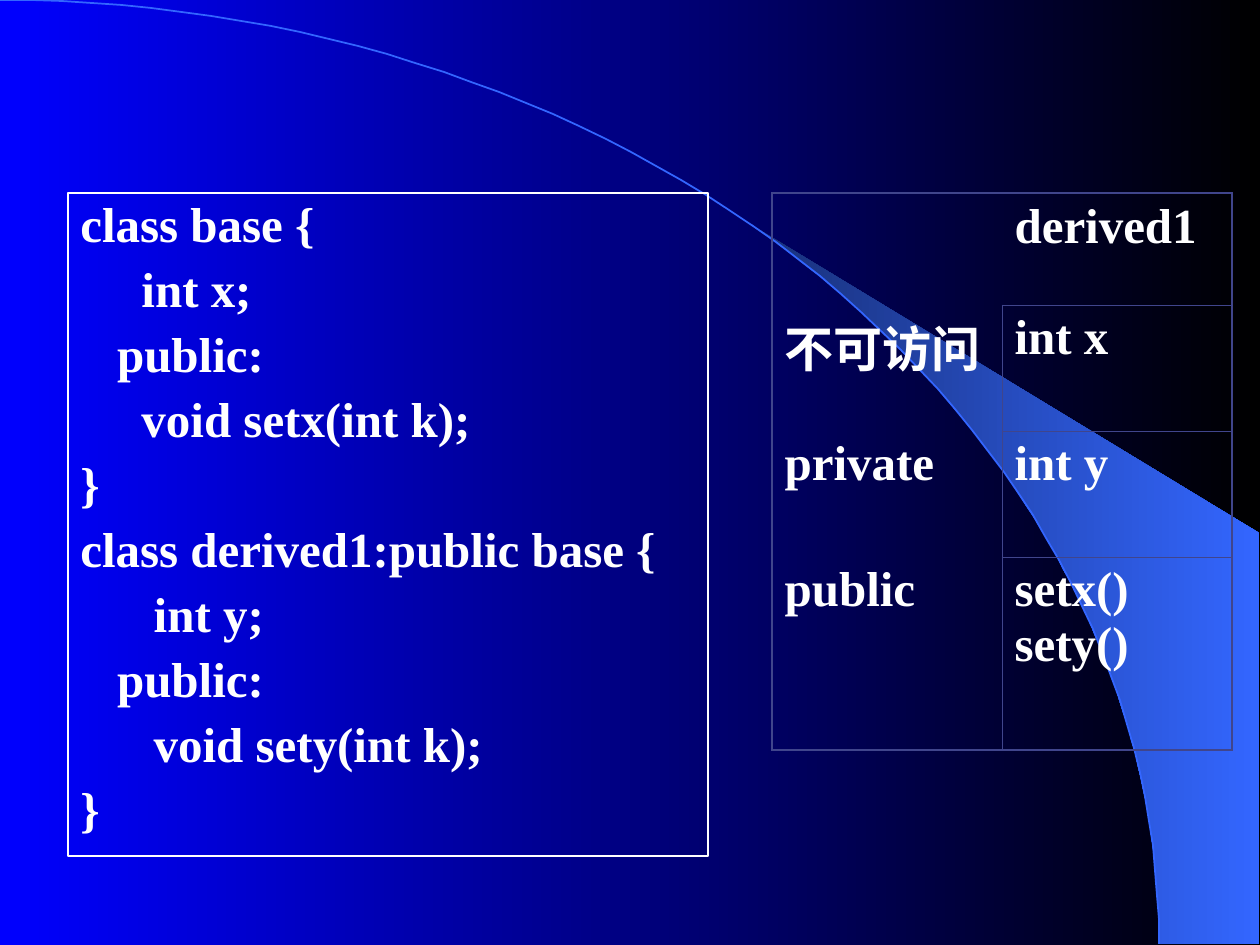
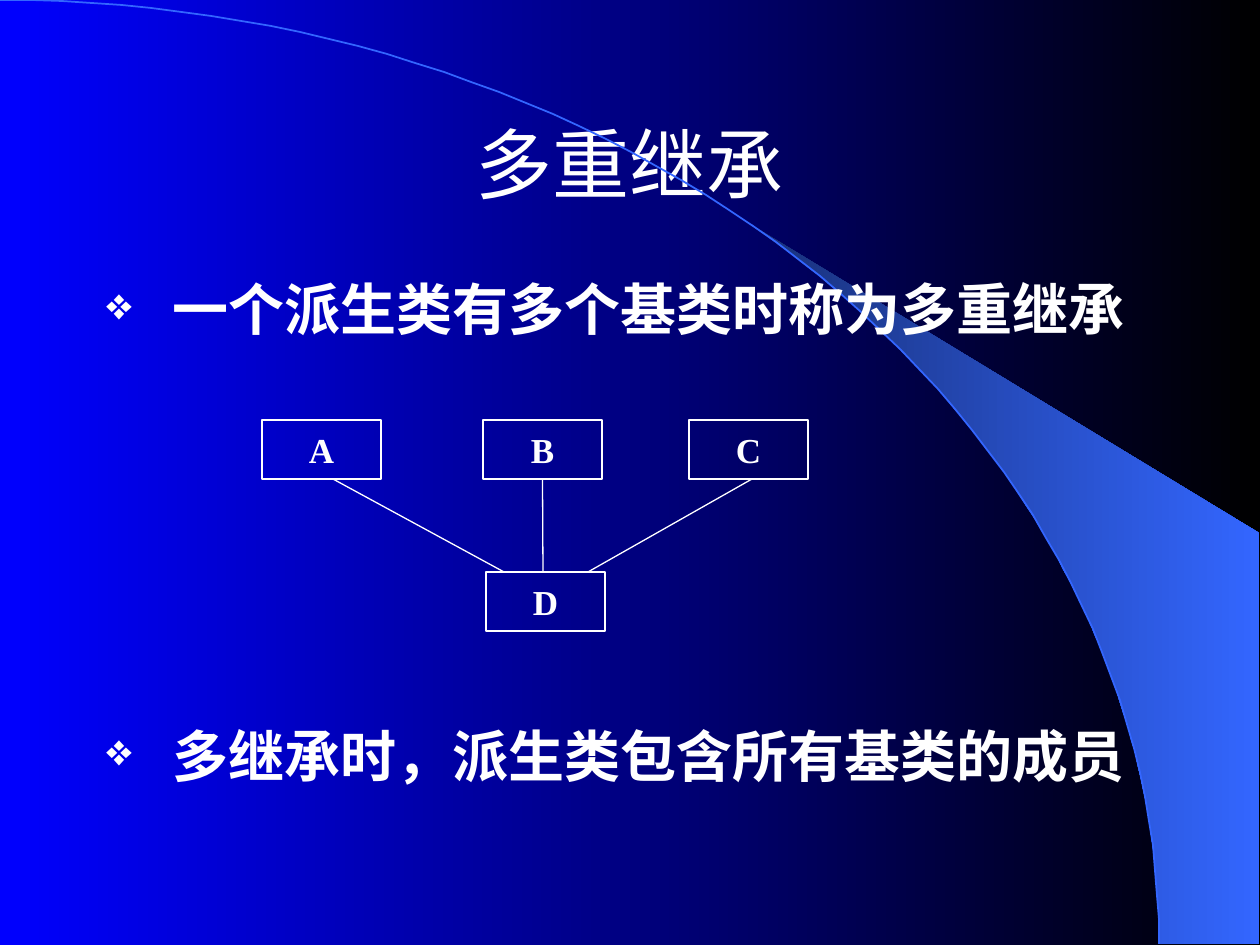
import math

import lxml.etree
import pptx
import pptx.dml.color
import pptx.enum.shapes
import pptx.enum.text
import pptx.oxml.ns
import pptx.util

EMU_PER_PX = 914400 / 126
SLIDE_W, SLIDE_H = 1260, 945
ARC_W, ARC_H = 1159, 944

WHITE = pptx.dml.color.RGBColor(0xFF, 0xFF, 0xFF)
BLUE = pptx.dml.color.RGBColor(0x00, 0x00, 0xFF)
BLACK = pptx.dml.color.RGBColor(0x00, 0x00, 0x00)
DARK_BLUE = pptx.dml.color.RGBColor(0x18, 0x2F, 0x76)
SKY_BLUE = pptx.dml.color.RGBColor(0x33, 0x66, 0xFF)
GRID_BLUE = pptx.dml.color.RGBColor(0x40, 0x45, 0x8C)

BODY_FONT, TITLE_FONT = "Times New Roman", "Arial"
THIN, THICK = 0.45, 0.96

CODE_LINES = [
    "class base {",
    "     int x;",
    "   public:",
    "     void setx(int k);",
    "}",
    "class derived1:public base {",
    "      int y;",
    "   public:",
    "      void sety(int k);",
    "}",
]
MEMBER_ROWS = [
    ("", ["derived1"], 112),
    ("不可访问", ["int x"], 126),
    ("private", ["int y"], 126),
    ("public", ["setx()", "sety()"], 193),
]
STATEMENTS = ["一个派生类有多个基类时称为多重继承", "多继承时，派生类包含所有基类的成员"]


def px(length):
    return pptx.util.Emu(round(length * EMU_PER_PX))


def px_all(*lengths):
    return [px(length) for length in lengths]


def add_run(paragraph, text, size, font=BODY_FONT, bold=True):
    run = paragraph.add_run()
    run.text = text
    run.font.size = pptx.util.Pt(size)
    run.font.name = font
    run.font.bold = bold
    run.font.color.rgb = WHITE


def paragraphs(frame, count):
    return [frame.paragraphs[0]] + [frame.add_paragraph() for _ in range(count - 1)]


def set_gradient(fill, start, end):
    fill.gradient()
    fill.gradient_angle = 0
    for stop, color, position in zip(fill.gradient_stops, (start, end), (0, 1)):
        stop.color.rgb = color
        stop.position = position


def arc_points(start_degrees, steps=60):
    """Points on the quarter ellipse from the top left to the bottom right."""
    angles = [math.radians(start_degrees + (90 - start_degrees) * i / steps)
              for i in range(steps + 1)]
    return [(ARC_W * math.sin(a), ARC_H * (1 - math.cos(a))) for a in angles]


def add_outline(slide, points, close):
    builder = slide.shapes.build_freeform(*points[0], scale=EMU_PER_PX)
    builder.add_line_segments(points[1:], close=close)
    outline = builder.convert_to_shape()
    outline.shadow.inherit = False
    return outline


def add_backdrop(slide):
    set_gradient(slide.background.fill, BLUE, BLACK)
    wedge = add_outline(slide, arc_points(39.8) + [(1259, 944), (1259, 533)], True)
    set_gradient(wedge.fill, DARK_BLUE, SKY_BLUE)
    wedge.line.fill.background()
    arc = add_outline(slide, arc_points(0), False)
    arc.fill.background()
    arc.line.color.rgb = SKY_BLUE
    arc.line.width = pptx.util.Pt(1)


def add_framed_box(slide, left, top, width, height):
    box = slide.shapes.add_shape(pptx.enum.shapes.MSO_SHAPE.RECTANGLE,
                                 *px_all(left, top, width, height))
    box.shadow.inherit = False
    box.fill.background()
    box.line.color.rgb = WHITE
    box.line.width = pptx.util.Pt(0.75)
    return box


def add_code(slide, left, top, width, height):
    frame = add_framed_box(slide, left, top, width, height).text_frame
    frame.word_wrap = True
    frame.vertical_anchor = pptx.enum.text.MSO_ANCHOR.TOP
    for i, paragraph in enumerate(paragraphs(frame, len(CODE_LINES))):
        paragraph.alignment = pptx.enum.text.PP_ALIGN.LEFT
        paragraph.line_spacing = pptx.util.Pt(30.2)
        paragraph.space_before = pptx.util.Pt(7 if i else 0)
        add_run(paragraph, CODE_LINES[i], 28)


def set_borders(cell, widths):
    """Draw the left, right, top and bottom edges; a width of 0 hides one."""
    properties = cell._tc.get_or_add_tcPr()
    qn = pptx.oxml.ns.qn
    for i, (side, width) in enumerate(zip("LRTB", widths)):
        edge = lxml.etree.Element(qn(f"a:ln{side}"), w=str(pptx.util.Pt(width)))
        if width:
            fill = lxml.etree.SubElement(edge, qn("a:solidFill"))
            lxml.etree.SubElement(fill, qn("a:srgbClr"), val=str(GRID_BLUE))
        else:
            lxml.etree.SubElement(edge, qn("a:noFill"))
        properties.insert(i, edge)


def add_member_table(slide, left, top, width):
    heights = [height for _, _, height in MEMBER_ROWS]
    table = slide.shapes.add_table(len(MEMBER_ROWS), 2,
                                   *px_all(left, top, width, sum(heights))).table
    table.first_row = table.horz_banding = False
    for column in table.columns:
        column.width = px(width / 2)
    last = len(MEMBER_ROWS) - 1
    for r, (access, members, height) in enumerate(MEMBER_ROWS):
        table.rows[r].height = px(height)
        outer_top = 0 if r else THICK
        outer_bottom = THICK if r == last else 0
        divider = THIN if r else 0
        borders = [
            (THICK, divider, outer_top, outer_bottom),
            (divider, THICK, outer_top or THIN, outer_bottom or THIN),
        ]
        for c, lines in enumerate(([access], members)):
            cell = table.cell(r, c)
            cell.fill.background()
            set_borders(cell, borders[c])
            for paragraph, line in zip(paragraphs(cell.text_frame, len(lines)), lines):
                if line:
                    add_run(paragraph, line, 28)


def add_title(slide, text, left, top, width, height):
    title = slide.shapes.title
    title.left, title.top, title.width, title.height = px_all(left, top, width, height)
    title.text_frame.vertical_anchor = pptx.enum.text.MSO_ANCHOR.MIDDLE
    paragraph = title.text_frame.paragraphs[0]
    paragraph.alignment = pptx.enum.text.PP_ALIGN.CENTER
    add_run(paragraph, text, 44, TITLE_FONT, bold=False)


def add_bullet(paragraph, indent):
    qn = pptx.oxml.ns.qn
    properties = paragraph._p.get_or_add_pPr()
    properties.set("marL", str(px(indent)))
    properties.set("indent", str(-px(indent)))
    color = lxml.etree.SubElement(properties, qn("a:buClr"))
    lxml.etree.SubElement(color, qn("a:srgbClr"), val=str(WHITE))
    lxml.etree.SubElement(properties, qn("a:buSzPct"), val="80000")
    lxml.etree.SubElement(properties, qn("a:buChar"), char="❖")


def add_statements(slide, left, top, width, height):
    """Two bullets, far enough apart to hold the diagram between them."""
    frame = slide.shapes.add_textbox(*px_all(left, top, width, height)).text_frame
    frame.word_wrap = True
    for i, paragraph in enumerate(paragraphs(frame, len(STATEMENTS))):
        add_bullet(paragraph, 66)
        paragraph.line_spacing = pptx.util.Pt(36)
        paragraph.space_before = pptx.util.Pt(219 if i else 0)
        add_run(paragraph, STATEMENTS[i], 32)


def add_class_box(slide, name, left, top):
    box = add_framed_box(slide, left, top, 119, 59)
    box.text_frame.vertical_anchor = pptx.enum.text.MSO_ANCHOR.MIDDLE
    paragraph = box.text_frame.paragraphs[0]
    paragraph.alignment = pptx.enum.text.PP_ALIGN.CENTER
    add_run(paragraph, name, 20)
    return box


def add_inheritance_diagram(slide, left, top):
    bases = {name: add_class_box(slide, name, left + x, top)
             for name, x in (("A", 0), ("B", 221), ("C", 427))}
    add_class_box(slide, "D", left + 224, top + 152)
    for name, start_x, end_x in (("A", 71, 242), ("B", 281, 281), ("C", 490, 326)):
        link = slide.shapes.add_connector(
            pptx.enum.shapes.MSO_CONNECTOR.STRAIGHT,
            *px_all(left + start_x, top + 59, left + end_x, top + 152))
        link.line.color.rgb = WHITE
        link.line.width = pptx.util.Pt(0.75)
        lxml.etree.SubElement(link._element.spPr, pptx.oxml.ns.qn("a:effectLst"))
        if name == "B":
            link.begin_connect(bases[name], 2)


def add_access_slide(deck):
    slide = deck.slides.add_slide(deck.slide_layouts.get_by_name("Blank"))
    add_backdrop(slide)
    add_member_table(slide, 772, 193, 460)
    add_code(slide, 68, 193, 640, 663)


def add_inheritance_slide(deck):
    slide = deck.slides.add_slide(deck.slide_layouts.get_by_name("Title Only"))
    add_backdrop(slide)
    add_title(slide, "多重继承", 94, 84, 1071, 158)
    add_statements(slide, 94, 273, 1071, 543)
    add_inheritance_diagram(slide, 262, 420)


def main():
    deck = pptx.Presentation()
    deck.slide_width, deck.slide_height = px_all(SLIDE_W, SLIDE_H)
    add_access_slide(deck)
    add_inheritance_slide(deck)
    deck.save("out.pptx")


if __name__ == "__main__":
    main()
